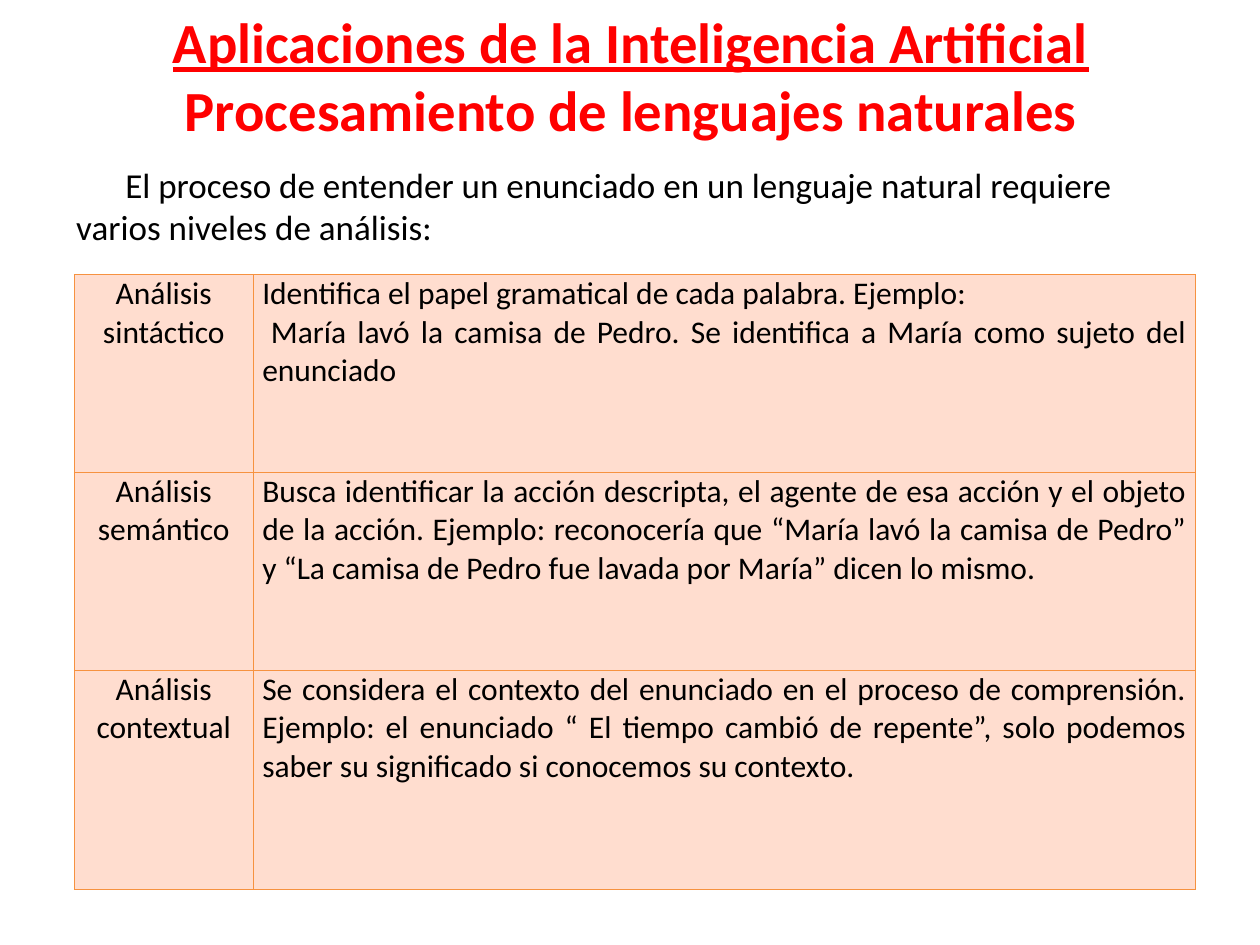
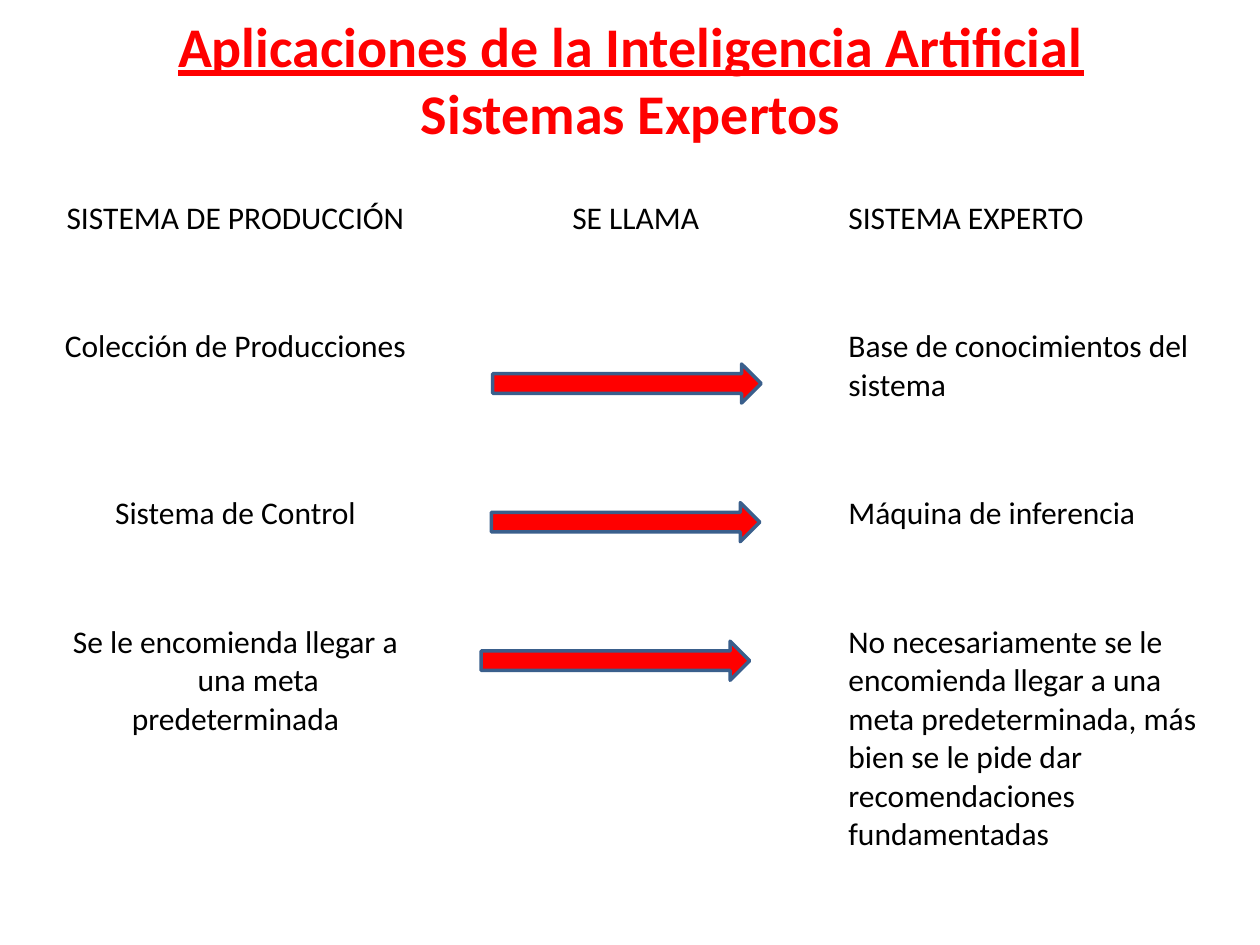
import pptx
import pptx.util
import pptx.dml.color
import pptx.enum.shapes
import pptx.enum.text
import pptx.oxml
import pptx.oxml.ns

Pt = pptx.util.Pt
ALIGN = pptx.enum.text.PP_ALIGN
ANCHOR = pptx.enum.text.MSO_ANCHOR

RED, BLACK = "FF0000", "000000"
PEACH, ORANGE, STEEL = "FFDDCF", "F69240", "3A5F8C"
FONT = "Calibri"
SUBJECT = "Aplicaciones de la Inteligencia Artificial"

# A cell is a list of (text, first-line indent) paragraphs.
LANGUAGE = {
    "heading": "Procesamiento de lenguajes naturales",
    "title_size": 32.4,
    "title_height": 86,
    "intro": "El proceso de entender un enunciado en un lenguaje natural requiere "
             "varios niveles de análisis:",
    "rows": [
        [[("Análisis sintáctico", 0)],
         [("Identifica el papel gramatical de cada palabra. Ejemplo:", 0),
          ("María lavó la camisa de Pedro. Se identifica a María como sujeto del "
           "enunciado", 5)]],
        [[("Análisis semántico", 0)],
         [("Busca identificar la acción descripta, el agente de esa acción y el objeto "
           "de la acción. Ejemplo: reconocería que “María lavó la camisa de Pedro” "
           "y “La camisa de Pedro fue lavada por María” dicen lo mismo.", 0)]],
        [[("Análisis contextual", 0)],
         [("Se considera el contexto del enunciado en el proceso de comprensión. "
           "Ejemplo: el enunciado “ El tiempo cambió de repente”, solo podemos "
           "saber su significado si conocemos su contexto.", 0)]],
    ],
    "table": {
        "origin": (42.5, 157),
        "widths": [102.2, 538.6],
        "heights": [113, 113, 125.3],
        "alignments": [ALIGN.CENTER, ALIGN.JUSTIFY],
        "margins": {"margin_left": Pt(5.2), "margin_right": Pt(5.2),
                    "margin_top": 0, "margin_bottom": 0},
        "fill": PEACH,
        "border": ORANGE,
    },
}

EXPERT = {
    "heading": "Sistemas Expertos",
    "title_size": 32,
    "title_height": 90,
    "rows": [
        [[("SISTEMA DE PRODUCCIÓN", 0)], [("SE LLAMA", 0)], [("SISTEMA EXPERTO", 0)]],
        [[("Colección de Producciones", 0)], [],
         [("Base de conocimientos del sistema", 0)]],
        [[("Sistema de Control", 0)], [], [("Máquina de inferencia", 0)]],
        [[("Se le encomienda llegar a", 0), ("una meta predeterminada", 26)], [],
         [("No necesariamente se le encomienda llegar a una meta predeterminada, "
           "más bien se le pide dar recomendaciones fundamentadas", 0)]],
    ],
    "table": {
        "origin": (20.2, 110.2),
        "widths": [228.7] * 3,
        "heights": [73.4, 95.6, 73.4, 153.6],
        "alignments": [ALIGN.CENTER, ALIGN.CENTER, ALIGN.LEFT],
        "margins": {},
    },
    "arrow_lefts": [281.5, 280.8, 275],
    "arrow_top": 208,
    "arrow_step": 79.2,
    "arrow_size": (153.4, 22.3),
}


def color(value):
    return pptx.dml.color.RGBColor.from_string(value)


def set_attributes(target, values):
    for name, value in values.items():
        setattr(target, name, value)


def format_font(font, size, value, **extra):
    set_attributes(font, {"name": FONT, "size": Pt(size), **extra})
    font.color.rgb = color(value)


def set_indent(paragraph, points):
    paragraph._p.get_or_add_pPr().set("indent", str(Pt(points)))


def add_titled_slide(presentation, content):
    slide = presentation.slides.add_slide(presentation.slide_layouts[5])
    title = slide.shapes.title
    set_attributes(title, {"left": Pt(36.5), "top": 0, "width": Pt(648),
                           "height": Pt(content["title_height"])})
    title.text_frame.vertical_anchor = ANCHOR.MIDDLE
    paragraph = title.text_frame.paragraphs[0]
    paragraph.alignment = ALIGN.CENTER
    format_font(paragraph.font, content["title_size"], RED, bold=True)
    for text, underline in ((SUBJECT, True), (content["heading"], False)):
        if paragraph.runs:
            paragraph.add_line_break()
        run = paragraph.add_run()
        run.text = text
        format_font(run.font, content["title_size"], RED, bold=True, underline=underline)
    return slide


def add_intro(slide, text):
    box = slide.shapes.add_textbox(Pt(36.5), Pt(90), Pt(648), Pt(60))
    box.text_frame.word_wrap = True
    paragraph = box.text_frame.paragraphs[0]
    set_indent(paragraph, 28)
    run = paragraph.add_run()
    run.text = text
    format_font(run.font, 20, BLACK)


def add_borders(cell, value):
    """Draw the four sides; they precede the fill in the cell properties."""
    properties = cell._tc.get_or_add_tcPr()
    for position, side in enumerate(("lnL", "lnR", "lnT", "lnB")):
        properties.insert(position, pptx.oxml.parse_xml(
            f'<a:{side} {pptx.oxml.ns.nsdecls("a")} w="{Pt(0.75)}">'
            f'<a:solidFill><a:srgbClr val="{value}"/></a:solidFill></a:{side}>'))


def fill_cell(cell, paragraphs, alignment, layout):
    set_attributes(cell, layout["margins"])
    if "fill" in layout:
        cell.fill.solid()
        cell.fill.fore_color.rgb = color(layout["fill"])
    else:
        cell.fill.background()
    if "border" in layout:
        add_borders(cell, layout["border"])
    frame = cell.text_frame
    for index, (text, indent) in enumerate(paragraphs):
        paragraph = frame.add_paragraph() if index else frame.paragraphs[0]
        paragraph.alignment = alignment
        if indent:
            set_indent(paragraph, indent)
        run = paragraph.add_run()
        run.text = text
        format_font(run.font, 18, BLACK)


def add_analysis_table(slide, rows, layout):
    widths, heights = layout["widths"], layout["heights"]
    left, top = layout["origin"]
    table = slide.shapes.add_table(len(heights), len(widths), Pt(left), Pt(top),
                                   Pt(sum(widths)), Pt(sum(heights))).table
    set_attributes(table, {"first_row": False, "horz_banding": False})
    for column, width in zip(table.columns, widths):
        column.width = Pt(width)
    for table_row, height, cells in zip(table.rows, heights, rows):
        table_row.height = Pt(height)
        for cell, paragraphs, alignment in zip(table_row.cells, cells,
                                               layout["alignments"]):
            fill_cell(cell, paragraphs, alignment, layout)


def add_arrows(slide, content):
    width, height = content["arrow_size"]
    for index, left in enumerate(content["arrow_lefts"]):
        top = content["arrow_top"] + index * content["arrow_step"]
        arrow = slide.shapes.add_shape(pptx.enum.shapes.MSO_SHAPE.RIGHT_ARROW,
                                       Pt(left), Pt(top), Pt(width), Pt(height))
        arrow.shadow.inherit = False
        arrow.fill.solid()
        arrow.fill.fore_color.rgb = color(RED)
        arrow.line.color.rgb = color(STEEL)
        arrow.line.width = Pt(2)


def main():
    presentation = pptx.Presentation()
    set_attributes(presentation, {"slide_width": Pt(720), "slide_height": Pt(540)})

    language_slide = add_titled_slide(presentation, LANGUAGE)
    add_intro(language_slide, LANGUAGE["intro"])
    add_analysis_table(language_slide, LANGUAGE["rows"], LANGUAGE["table"])

    expert_slide = add_titled_slide(presentation, EXPERT)
    add_analysis_table(expert_slide, EXPERT["rows"], EXPERT["table"])
    add_arrows(expert_slide, EXPERT)

    presentation.save("out.pptx")


if __name__ == "__main__":
    main()
